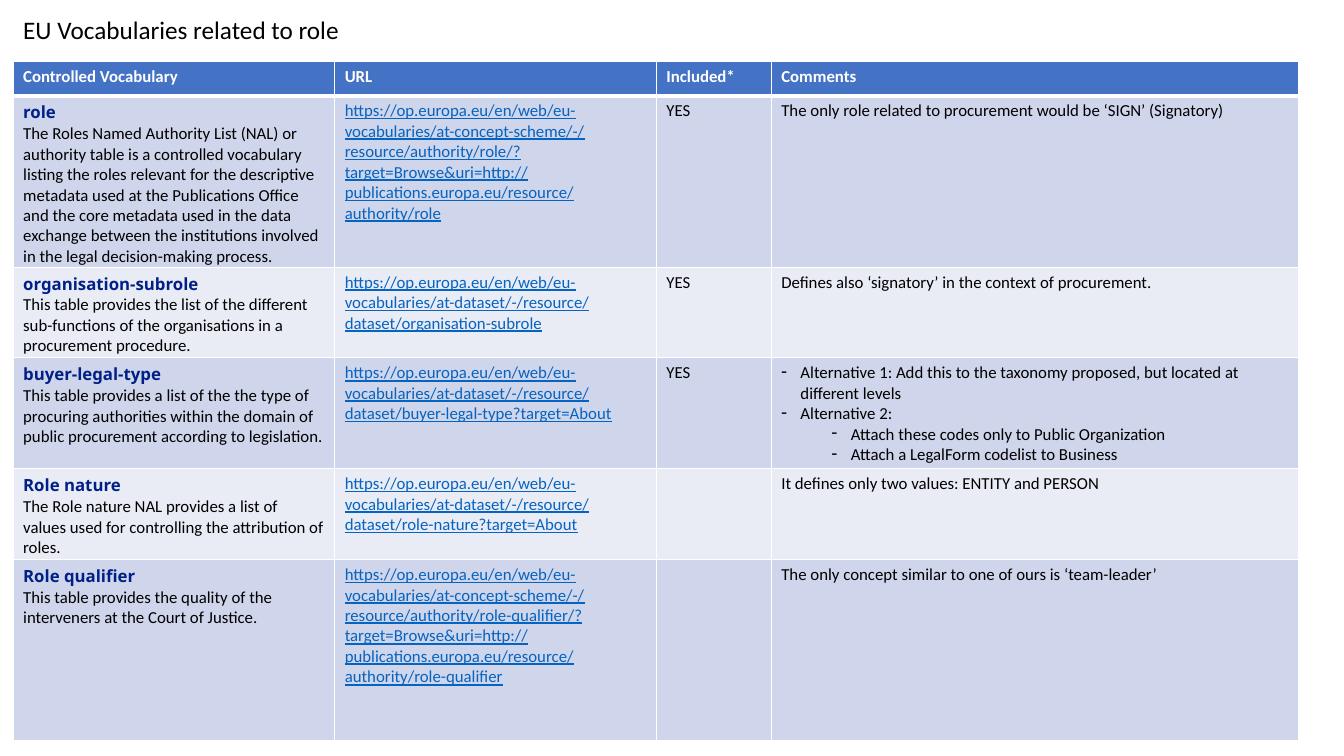
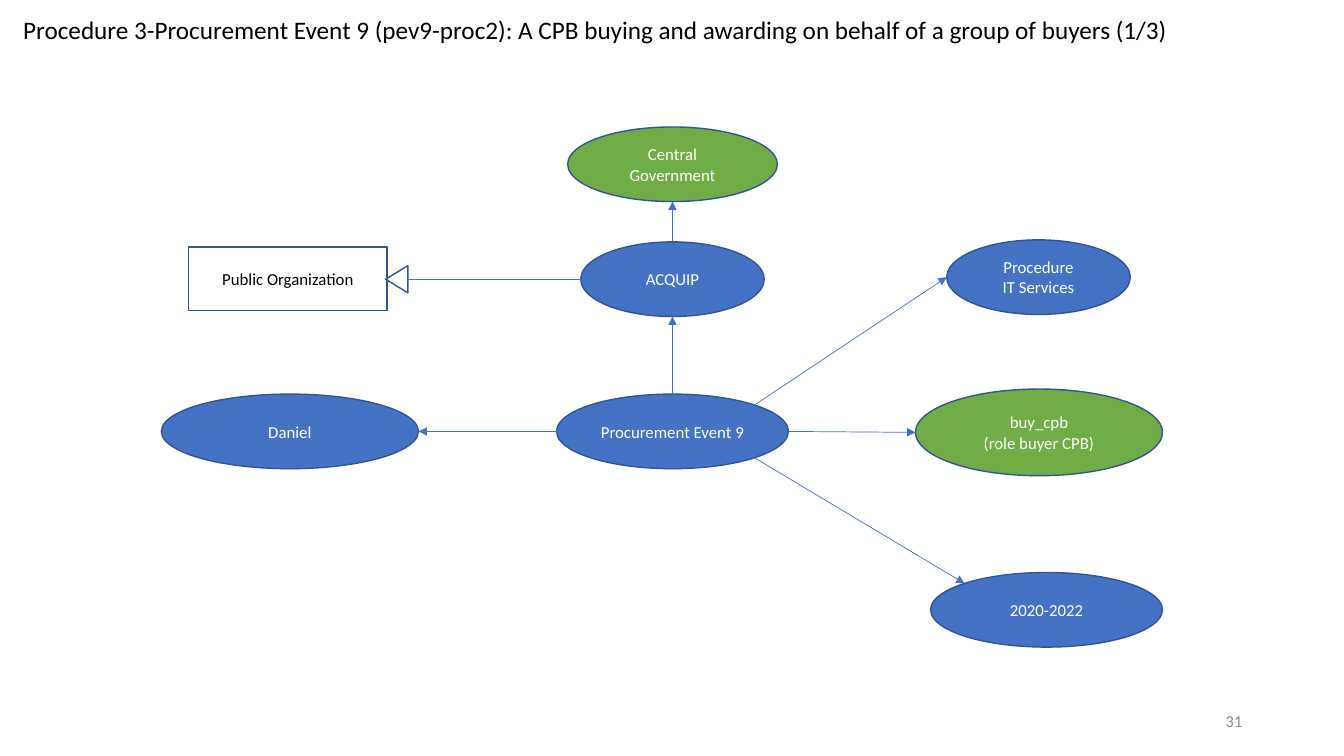
from dataclasses import dataclass
from math import cos, radians, sin

from lxml import etree
from pptx import Presentation
from pptx.dml.color import RGBColor
from pptx.enum.shapes import MSO_CONNECTOR, MSO_SHAPE
from pptx.enum.text import MSO_ANCHOR, MSO_AUTO_SIZE, PP_ALIGN
from pptx.oxml.ns import qn
from pptx.util import Inches, Pt

ELLIPSE, RECTANGLE = MSO_SHAPE.OVAL, MSO_SHAPE.RECTANGLE
TRIANGLE = MSO_SHAPE.ISOSCELES_TRIANGLE
STRAIGHT = MSO_CONNECTOR.STRAIGHT
TOP, MIDDLE = MSO_ANCHOR.TOP, MSO_ANCHOR.MIDDLE
LEFT, CENTER, RIGHT = PP_ALIGN.LEFT, PP_ALIGN.CENTER, PP_ALIGN.RIGHT
FIXED_SIZE = MSO_AUTO_SIZE.NONE

# Connection sites: index in the preset shape, offset from the centre as a share of the size
DIAGONAL = 0.5 * cos(radians(45))
SITES = {
    "top": (0, 0, -0.5),
    "top left": (1, -DIAGONAL, -DIAGONAL),
    "left": (2, -0.5, 0),
    "bottom": (4, 0, 0.5),
    "bottom right": (5, DIAGONAL, DIAGONAL),
    "right": (6, 0.5, 0),
    "top right": (7, DIAGONAL, -DIAGONAL),
    "triangle base": (3, 0, 0.5),
}


@dataclass(frozen=True)
class Theme:
    font: str = "Calibri"
    term_font: str = "Noto Sans"
    title_size: int = 18
    body_size: int = 12
    black: str = "000000"
    white: str = "FFFFFF"
    blue: str = "4472C4"
    green: str = "70AD47"
    outline: str = "325491"
    term: str = "012087"
    url: str = "0563C1"
    page_number: str = "8C8C8C"
    bands: tuple = ("CFD5EA", "E9EBF5")


class Deck:
    def __init__(self, theme):
        self.theme = theme
        self.prs = Presentation()
        self.prs.slide_width, self.prs.slide_height = Inches(13.33), Inches(7.5)
        self.slide = None

    def style(self, paragraph, color, size=None, font=None, bold=False, underline=False):
        for run in paragraph.runs:
            run.font.name = font or self.theme.font
            run.font.size = Pt(size or self.theme.body_size)
            run.font.bold = bold
            run.font.underline = underline
            run.font.color.rgb = RGBColor.from_string(color)

    def set_text(self, frame, text, color, align=LEFT, **look):
        frame.text = text
        for paragraph in frame.paragraphs:
            paragraph.alignment = align
            self.style(paragraph, color, **look)

    def new_slide(self, title, number):
        self.slide = self.prs.slides.add_slide(self.prs.slide_layouts[5])
        heading = self.slide.shapes.title
        heading.left, heading.top = Inches(0.13), Inches(0.09)
        heading.width, heading.height = Inches(12.74), Inches(0.4)
        frame = heading.text_frame
        frame.auto_size, frame.vertical_anchor = FIXED_SIZE, TOP
        self.set_text(frame, title, self.theme.black, size=self.theme.title_size)
        footer = self.slide.shapes.add_textbox(
            Inches(9.42), Inches(6.95), Inches(3), Inches(0.4)).text_frame
        footer.word_wrap, footer.vertical_anchor = True, MIDDLE
        self.set_text(footer, str(number), self.theme.page_number, RIGHT)

    def table(self, left, top, widths, heights):
        table = self.slide.shapes.add_table(
            len(heights), len(widths), Inches(left), Inches(top),
            Inches(sum(widths)), Inches(sum(heights))).table
        for column, width in zip(table.columns, widths):
            column.width = Inches(width)
        for row, height in zip(table.rows, heights):
            row.height = Inches(height)
        for index, row in enumerate(table.rows):
            for cell in row.cells:
                self.paint_cell(cell, index)
        return table

    def paint_cell(self, cell, row):
        properties = cell._tc.get_or_add_tcPr()
        for side in "LRTB":
            header_rule = (row, side) in ((0, "B"), (1, "T"))
            line = etree.SubElement(properties, qn(f"a:ln{side}"),
                                    w=str(Pt(3 if header_rule else 1)))
            fill = etree.SubElement(line, qn("a:solidFill"))
            etree.SubElement(fill, qn("a:srgbClr"), val=self.theme.white)
        cell.fill.solid()
        color = self.theme.bands[(row - 1) % 2] if row else self.theme.blue
        cell.fill.fore_color.rgb = RGBColor.from_string(color)

    def dash(self, paragraph, level):
        """Give the paragraph a hanging dash bullet."""
        paragraph.level = level
        properties = paragraph._p.get_or_add_pPr()
        properties.set("marL", str(Inches(0.19 + 0.5 * level)))
        properties.set("indent", str(Inches(-0.19)))
        etree.SubElement(properties, qn("a:buChar"), char="-")

    def node(self, text, left, top, width, height=0.74, fill=None,
             kind=ELLIPSE, rotation=0):
        shape = self.slide.shapes.add_shape(
            kind, Inches(left), Inches(top), Inches(width), Inches(height))
        shape.shadow.inherit = False
        shape.rotation = rotation
        if fill:
            shape.fill.solid()
            shape.fill.fore_color.rgb = RGBColor.from_string(fill)
        else:
            shape.fill.background()
        shape.line.color.rgb = RGBColor.from_string(self.theme.outline)
        shape.line.width = Pt(1)
        if text:
            shape.text_frame.vertical_anchor = MIDDLE
            self.set_text(shape.text_frame, text,
                          self.theme.white if fill else self.theme.black, CENTER)
        return shape

    def site_point(self, shape, site):
        _, across, down = SITES[site]
        dx, dy = across * shape.width, down * shape.height
        turn = radians(shape.rotation)
        return (round(shape.left + shape.width / 2 + dx * cos(turn) - dy * sin(turn)),
                round(shape.top + shape.height / 2 + dx * sin(turn) + dy * cos(turn)))

    def link(self, source, source_site, target, target_site, arrow=True):
        connector = self.slide.shapes.add_connector(
            STRAIGHT, *self.site_point(source, source_site),
            *self.site_point(target, target_site))
        connector.line.color.rgb = RGBColor.from_string(self.theme.blue)
        connector.line.width = Pt(0.5)
        glue = connector._element.nvCxnSpPr.cNvCxnSpPr
        for tag, shape, site in (("a:stCxn", source, source_site),
                                 ("a:endCxn", target, target_site)):
            etree.SubElement(glue, qn(tag), id=str(shape.shape_id), idx=str(SITES[site][0]))
        if arrow:
            etree.SubElement(connector.line._get_or_add_ln(), qn("a:tailEnd"), type="triangle")
        etree.SubElement(connector._element.spPr, qn("a:effectLst"))


URL_BASE = "https://op.europa.eu/en/web/eu-vocabularies/"
DATASET = URL_BASE + "at-dataset/-/resource/dataset/"
SCHEME = (URL_BASE + "at-concept-scheme/-/resource/authority/{0}/?target=Browse"
          "&uri=http://publications.europa.eu/resource/authority/{0}")
HEADERS = ("Controlled Vocabulary", "URL", "Included*", "Comments")
# Term, description, URL, included, comments as (text, dash level or None)
VOCABULARIES = (
    ("role",
     "The Roles Named Authority List (NAL) or authority table is a controlled vocabulary "
     "listing the roles relevant for the descriptive metadata used at the Publications Office "
     "and the core metadata used in the data exchange between the institutions involved in "
     "the legal decision-making process.",
     SCHEME.format("role"), "YES",
     [("The only role related to procurement would be ‘SIGN’ (Signatory)", None)]),
    ("organisation-subrole",
     "This table provides the list of the different sub-functions of the organisations in a "
     "procurement procedure.",
     DATASET + "organisation-subrole", "YES",
     [("Defines also ‘signatory’ in the context of procurement.", None)]),
    ("buyer-legal-type",
     "This table provides a list of the the type of procuring authorities within the domain "
     "of public procurement according to legislation.",
     DATASET + "buyer-legal-type?target=About", "YES",
     [("Alternative 1: Add this to the taxonomy proposed, but located at different levels", 0),
      ("Alternative 2:", 0),
      ("Attach these codes only to Public Organization", 1),
      ("Attach a LegalForm codelist to Business", 1)]),
    ("Role nature",
     "The Role nature NAL provides a list of values used for controlling the attribution of "
     "roles.",
     DATASET + "role-nature?target=About", "",
     [("It defines only two values: ENTITY and PERSON", None)]),
    ("Role qualifier",
     "This table provides the quality of the interveners at the Court of Justice.",
     SCHEME.format("role-qualifier"), "",
     [("The only concept similar to one of ours is ‘team-leader’", None)]),
)


def vocabularies_slide(deck):
    theme = deck.theme
    deck.new_slide("EU Vocabularies related to role", 4)
    table = deck.table(0.13, 0.61, (3.19, 3.19, 1.14, 5.23),
                       (0.34, 1.69, 0.9, 1.1, 0.9, 1.8))
    for cell, header in zip(table.rows[0].cells, HEADERS):
        deck.set_text(cell.text_frame, header, theme.white, bold=True)
    for row, (term, description, url, included, comments) in enumerate(VOCABULARIES, 1):
        about, address, inclusion, remarks = (cell.text_frame for cell in table.rows[row].cells)
        deck.set_text(about, f"{term}\n{description}", theme.black)
        deck.style(about.paragraphs[0], theme.term, font=theme.term_font, bold=True)
        deck.set_text(address, url, theme.url, underline=True)
        if included:
            deck.set_text(inclusion, included, theme.black)
        deck.set_text(remarks, "\n".join(text for text, _ in comments), theme.black)
        for paragraph, (_, level) in zip(remarks.paragraphs, comments):
            if level is not None:
                deck.dash(paragraph, level)


def procedure_slide(deck):
    blue, green = deck.theme.blue, deck.theme.green
    deck.new_slide("Procedure 3-Procurement Event 9 (pev9-proc2): A CPB buying and awarding "
                   "on behalf of a group of buyers (1/3)", 31)
    government = deck.node("Central Government", 5.63, 1.26, 2.08, fill=green)
    purchaser = deck.node("ACQUIP", 5.76, 2.4, 1.82, fill=blue)
    event = deck.node("Procurement Event 9", 5.52, 3.91, 2.3, fill=blue)
    daniel = deck.node("Daniel", 1.6, 3.91, 2.55, fill=blue)
    procedure = deck.node("Procedure\nIT Services", 9.39, 2.38, 1.82, fill=blue)
    buyer_role = deck.node("buy_cpb\n(role buyer CPB)", 9.08, 3.86, 2.45, 0.86, fill=green)
    period = deck.node("2020-2022", 9.23, 5.68, 2.3, fill=blue)
    deck.node("Public Organization", 1.87, 2.45, 1.97, 0.63, kind=RECTANGLE)
    generalization = deck.node("", 3.8, 2.66, 0.27, 0.22, kind=TRIANGLE, rotation=270)

    deck.link(purchaser, "top", government, "bottom")
    deck.link(purchaser, "left", generalization, "triangle base", arrow=False)
    deck.link(event, "top", purchaser, "bottom")
    deck.link(event, "left", daniel, "right")
    deck.link(event, "top right", procedure, "left")
    deck.link(event, "right", buyer_role, "left")
    deck.link(event, "bottom right", period, "top left")


def main():
    deck = Deck(Theme())
    vocabularies_slide(deck)
    procedure_slide(deck)
    deck.prs.save("out.pptx")


if __name__ == "__main__":
    main()
